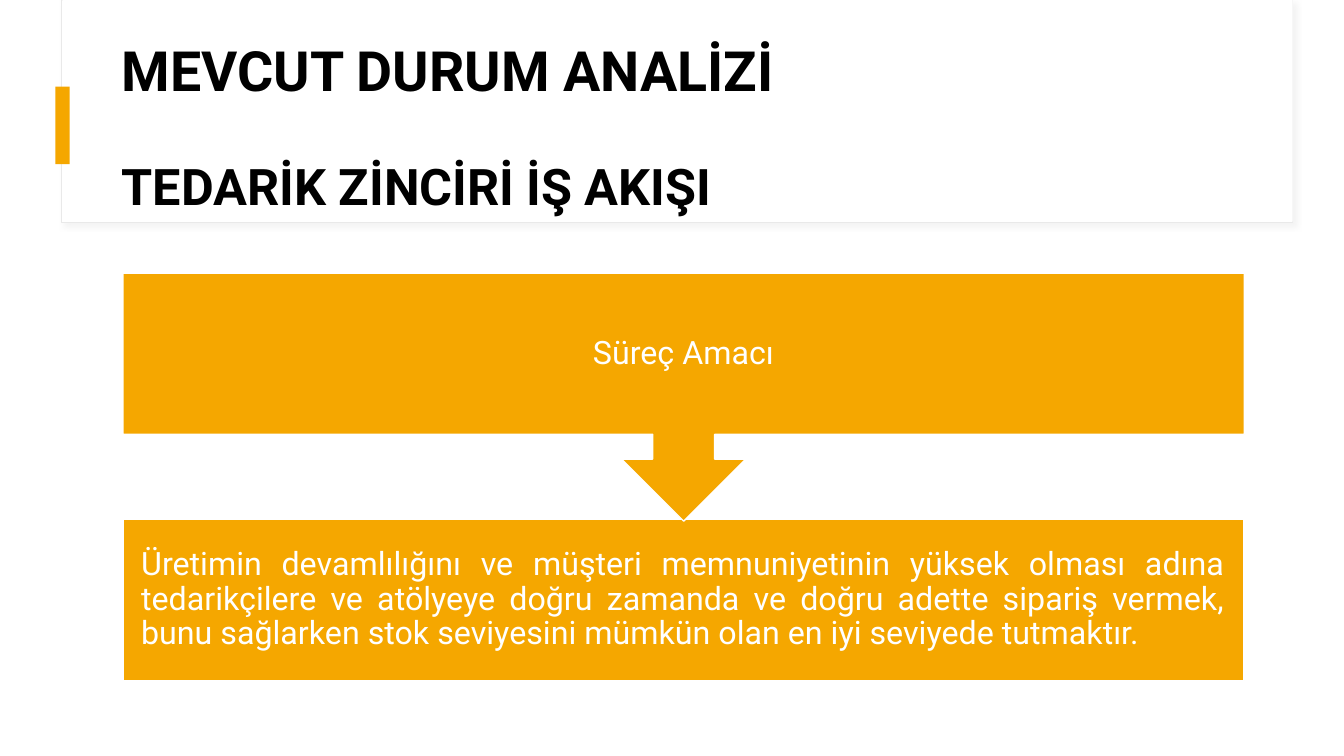
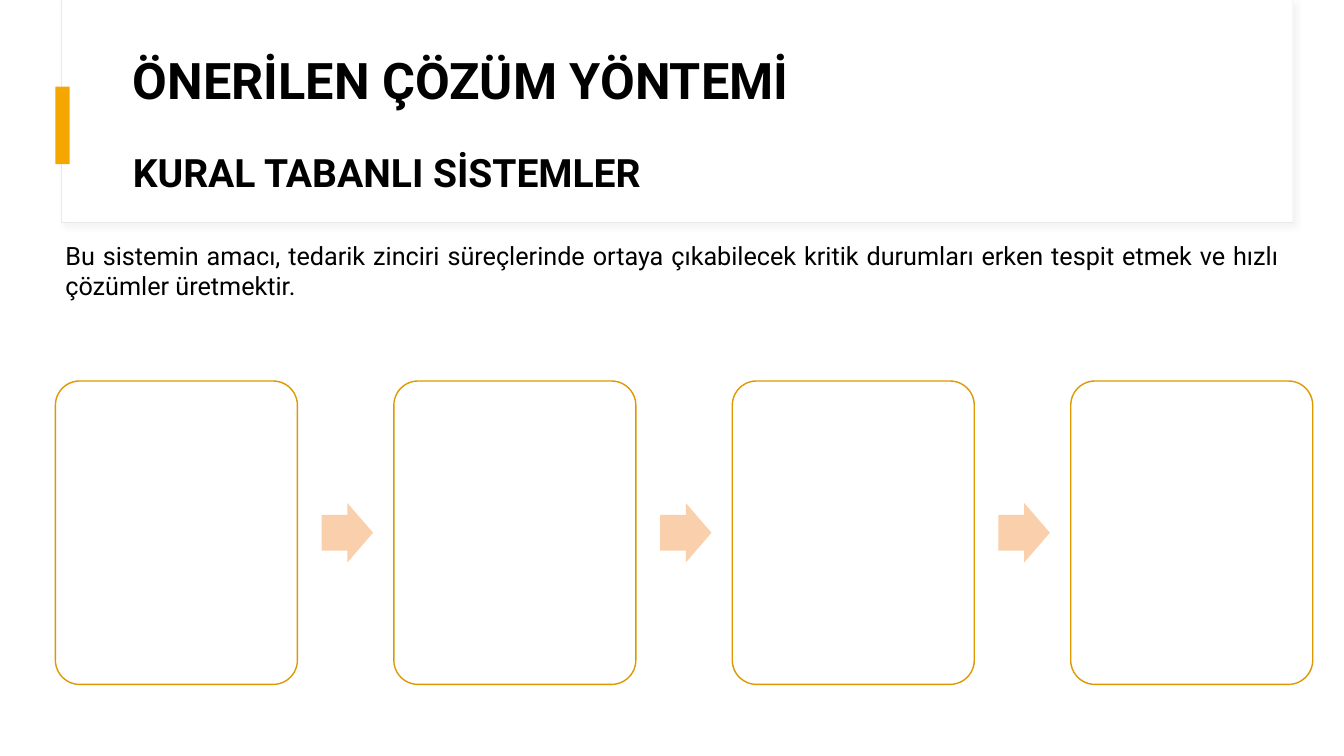
from lxml import etree
from pptx import Presentation
from pptx.dml.color import RGBColor
from pptx.enum.shapes import MSO_SHAPE
from pptx.enum.text import MSO_ANCHOR, PP_ALIGN
from pptx.oxml.ns import qn
from pptx.util import Inches, Pt

RECTANGLE = MSO_SHAPE.RECTANGLE
ROUNDED = MSO_SHAPE.ROUNDED_RECTANGLE
RIGHT_ARROW = MSO_SHAPE.RIGHT_ARROW
UP_CALLOUT = MSO_SHAPE.UP_ARROW_CALLOUT
TOP, MIDDLE = MSO_ANCHOR.TOP, MSO_ANCHOR.MIDDLE
LEFT, CENTER, JUSTIFY = PP_ALIGN.LEFT, PP_ALIGN.CENTER, PP_ALIGN.JUSTIFY

FONT = "Roboto"
COLORS = {
    "white": "FFFFFF",
    "black": "000000",
    "accent": "F5A700",
    "outline": "DE9800",
    "arrow": "F9D0AB",
    "frame": "E9E9E9",
    "shadow": "D9D9D9",
}

# Content: title lines are (text, size, space before)
PURPOSE_TITLE = [("MEVCUT DURUM ANALİZİ", 39.6, 0), ("TEDARİK ZİNCİRİ İŞ AKIŞI", 36, 42)]
PURPOSE_HEADING = "Süreç Amacı"
PURPOSE_TEXT = (
    "Üretimin devamlılığını ve müşteri memnuniyetinin yüksek olması adına "
    "tedarikçilere ve atölyeye doğru zamanda ve doğru adette sipariş vermek, "
    "bunu sağlarken stok seviyesini mümkün olan en iyi seviyede tutmaktır."
)
METHOD_TITLE = [("ÖNERİLEN ÇÖZÜM YÖNTEMİ", 36, 0), ("KURAL TABANLI SİSTEMLER", 27.9, 31)]
METHOD_TEXT = (
    "Bu sistemin amacı, tedarik zinciri süreçlerinde ortaya çıkabilecek kritik "
    "durumları erken tespit etmek ve hızlı çözümler üretmektir."
)

# Layout in inches
TITLE_WIDTH, TITLE_HEIGHT = 11.12, 2
BOX_LEFT, BOX_WIDTH, BOX_HEIGHT = 1.22, 11.12, 1.6
CALLOUT_TOP, CALLOUT_HEIGHT, PURPOSE_TOP = 2.71, 2.46, 5.15
CARD_COUNT, CARD_WIDTH, CARD_HEIGHT = 4, 2.4, 3.01
CARD_TOP, FIRST_CARD, LAST_CARD = 3.78, 0.55, 10.62
ARROW_WIDTH, ARROW_HEIGHT, ARROW_OFFSET = 0.51, 0.59, 2.64


def color(name):
    return RGBColor.from_string(COLORS[name])


def add_shape(slide, kind, place, fill, line=None, width=1, adjustments=()):
    shape = slide.shapes.add_shape(kind, *map(Inches, place))
    shape.shadow.inherit = False
    shape.fill.solid()
    shape.fill.fore_color.rgb = color(fill)
    if line:
        shape.line.color.rgb = color(line)
        shape.line.width = Pt(width)
    else:
        shape.line.fill.background()
    for index, value in enumerate(adjustments):
        shape.adjustments[index] = value
    return shape


def add_soft_shadow(shape):
    effects = shape._element.spPr.find(qn("a:effectLst"))
    shadow = etree.SubElement(effects, qn("a:outerShdw"), blurRad=str(Pt(4)),
                              dist=str(Pt(3)), dir="2700000", algn="tl", rotWithShape="0")
    tint = etree.SubElement(shadow, qn("a:srgbClr"), val=COLORS["shadow"])
    etree.SubElement(tint, qn("a:alpha"), val="30000")


def write(shape, lines, ink, align, anchor=MIDDLE, spacing=0.9, bold=False, inset=None):
    frame = shape.text_frame
    frame.word_wrap = True
    frame.vertical_anchor = anchor
    if inset is not None:
        frame.margin_left = frame.margin_right = Inches(inset)
        frame.margin_top = frame.margin_bottom = Inches(inset)
    frame.text = "\n".join(text for text, _, _ in lines)
    for paragraph, (_, size, before) in zip(frame.paragraphs, lines):
        paragraph.alignment = align
        paragraph.line_spacing = spacing
        if before:
            paragraph.space_before = Pt(before)
        for run in paragraph.runs:
            run.font.name = FONT
            run.font.size = Pt(size)
            run.font.bold = bold
            run.font.color.rgb = color(ink)


def add_text(slide, place, lines, *style, **options):
    write(slide.shapes.add_textbox(*map(Inches, place)), lines, *style, **options)


def add_titled_slide(presentation, title, left, top):
    slide = presentation.slides.add_slide(presentation.slide_layouts[6])
    frame = add_shape(slide, RECTANGLE, (0.61, 0, 12.21, 2.21), "white", "frame", 0.75)
    add_soft_shadow(frame)
    add_shape(slide, RECTANGLE, (0.62, 0, 12.2, 2.2), "white")
    add_shape(slide, RECTANGLE, (0.55, 0.86, 0.14, 0.77), "accent")
    add_text(slide, (left, top, TITLE_WIDTH, TITLE_HEIGHT), title, "black", LEFT, bold=True)
    return slide


def build_purpose(presentation):
    slide = add_titled_slide(presentation, PURPOSE_TITLE, 1.11, 0.29)
    purpose = add_shape(slide, RECTANGLE, (BOX_LEFT, PURPOSE_TOP, BOX_WIDTH, BOX_HEIGHT),
                        "accent", "white")
    write(purpose, [(PURPOSE_TEXT, 23, 0)], "white", JUSTIFY, inset=0.18)
    callout = add_shape(slide, UP_CALLOUT, (BOX_LEFT, CALLOUT_TOP, BOX_WIDTH, CALLOUT_HEIGHT),
                        "accent", "white")
    callout.rotation = 180
    # The heading stays upright over the turned callout
    add_text(slide, (BOX_LEFT, CALLOUT_TOP, BOX_WIDTH, BOX_HEIGHT),
             [(PURPOSE_HEADING, 23, 0)], "white", CENTER, inset=0.18)


def build_method(presentation):
    slide = add_titled_slide(presentation, METHOD_TITLE, 1.22, 0.25)
    add_text(slide, (0.55, 2.33, 12.24, 1.01), [(METHOD_TEXT, 18, 0)],
             "black", JUSTIFY, anchor=TOP, spacing=1.0)
    # Equal steps: a card, then an arrow to the next one
    pitch = (LAST_CARD - FIRST_CARD) / (CARD_COUNT - 1)
    arrow_top = CARD_TOP + (CARD_HEIGHT - ARROW_HEIGHT) / 2
    for index in range(CARD_COUNT):
        left = FIRST_CARD + index * pitch
        add_shape(slide, ROUNDED, (left, CARD_TOP, CARD_WIDTH, CARD_HEIGHT),
                  "white", "outline", adjustments=(0.1,))
        if index < CARD_COUNT - 1:
            add_shape(slide, RIGHT_ARROW,
                      (left + ARROW_OFFSET, arrow_top, ARROW_WIDTH, ARROW_HEIGHT),
                      "arrow", adjustments=(0.6, 0.5))


def main():
    presentation = Presentation()
    presentation.slide_width = Inches(13.33)
    presentation.slide_height = Inches(7.5)
    build_purpose(presentation)
    build_method(presentation)
    presentation.save("out.pptx")


if __name__ == "__main__":
    main()
